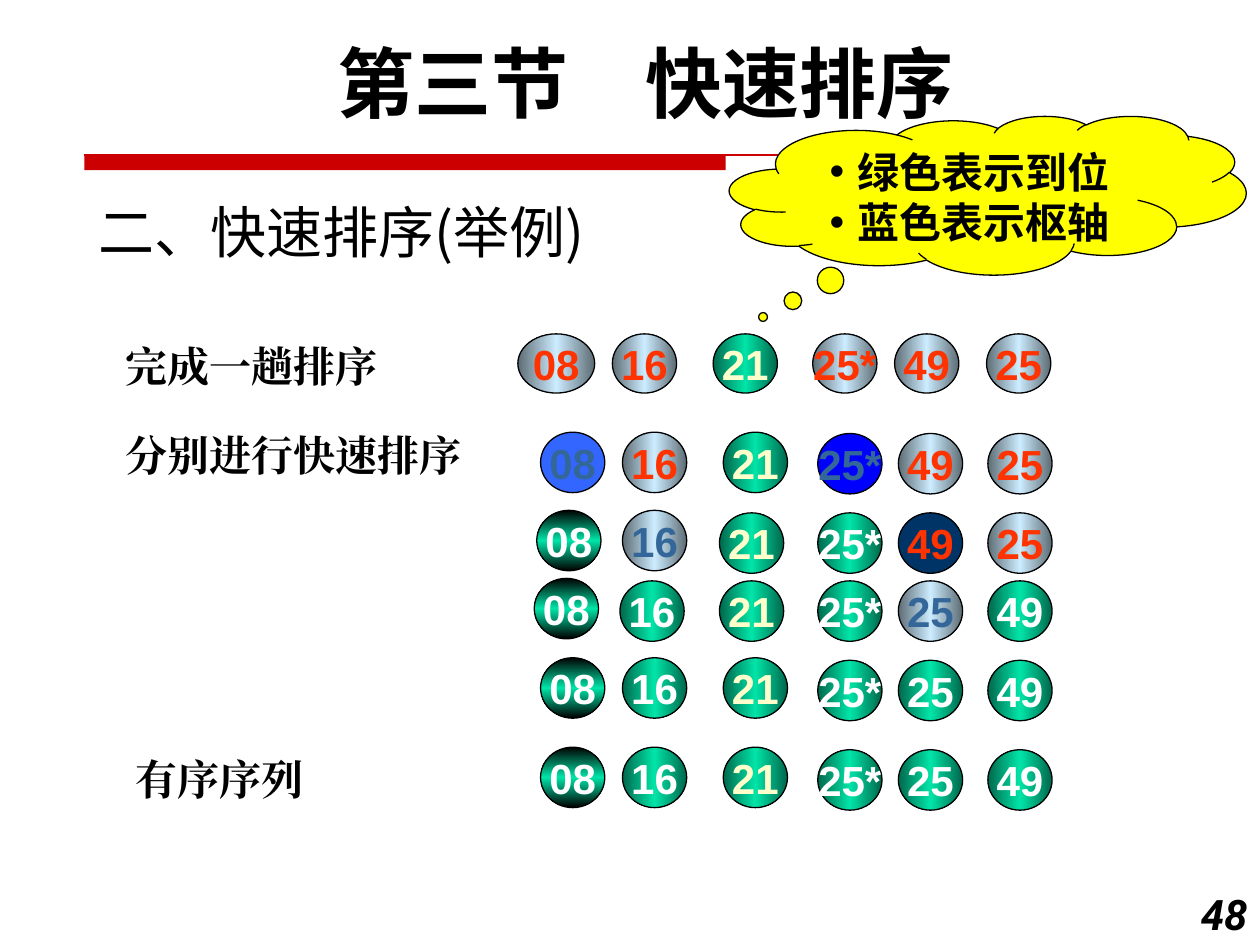
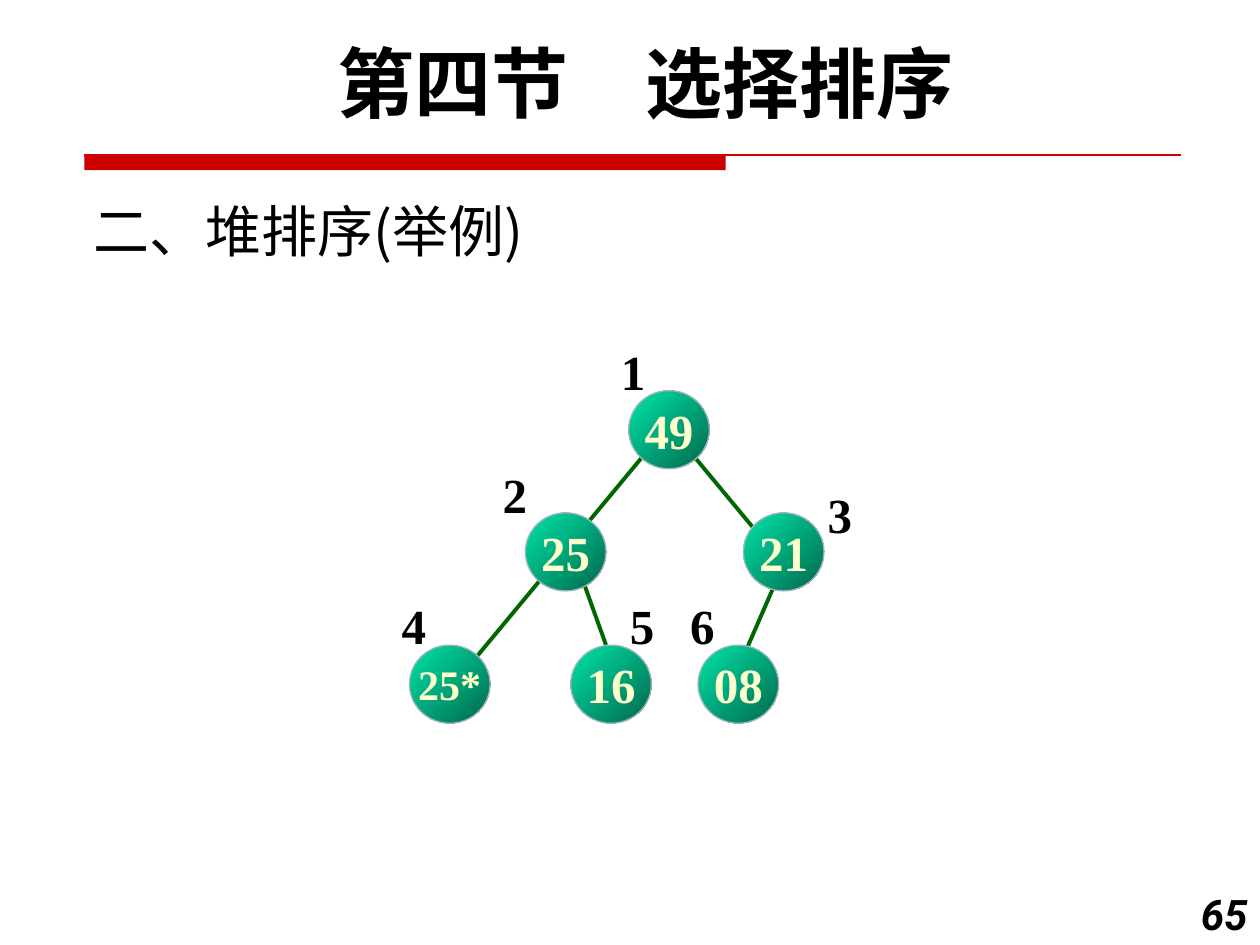
from lxml import etree
from pptx import Presentation
from pptx import util as u
from pptx.dml.color import RGBColor
from pptx.enum import shapes, text
from pptx.oxml import ns

WIDE, HIGH = 10, 7.5
BLACK = RGBColor(0, 0, 0)
WHITE = RGBColor(255, 255, 255)
CREAM = RGBColor(255, 255, 204)
RED = RGBColor(204, 0, 0)
ORANGE = RGBColor(255, 51, 0)
YELLOW = RGBColor(255, 255, 0)
STEEL = RGBColor(51, 102, 153)
SKY = RGBColor(51, 102, 255)
BLUE = RGBColor(0, 0, 255)
NAVY = RGBColor(0, 51, 102)
MINT = RGBColor(0, 228, 168)
PINE = RGBColor(0, 104, 76)
SLATE = RGBColor(93, 108, 116)
ICE = RGBColor(204, 236, 255)
MIST = RGBColor(163, 178, 193)
LEAF = RGBColor(0, 102, 0)

SANS, SERIF, HEAD, BALL = "Noto Sans CJK SC", "Times New Roman", "Roboto", "Arial"

# A gradient is (angle, evenly spaced colours)
GREY = (0, (SLATE, ICE, SLATE))
GREEN = (0, (PINE, MINT, PINE))
DARK = (90, (BLACK, MINT, BLACK))
SLANT = (45, (MINT, PINE))

# Ball state: (fill, text colour)
STATES = {
    "wait": (GREY, ORANGE), "last": (GREY, STEEL),
    "mid": (GREEN, CREAM), "done": (GREEN, WHITE), "first": (DARK, WHITE),
    "low": (SKY, STEEL), "high": (BLUE, STEEL), "pivot": (NAVY, ORANGE),
}
FINAL = "08 first, 16 done, 21 mid, 25* done, 25 done, 49 done"
COLS = (4.29, 4.94, 5.74, 6.49, 7.13, 7.84)

# (top, balls before the step down, step down, moved columns, balls)
PASSES = [
    (2.65, 6, 0, {0: 4.11, 1: 4.86, 2: 5.66, 3: 6.45, 4: 7.1, 5: 7.83},
     "08 wait, 16 wait, 21 mid, 25* wait, 49 wait, 25 wait"),
    (3.43, 3, 0.01, {}, "08 low, 16 wait, 21 mid, 25* high, 49 wait, 25 wait"),
    (4.05, 2, 0.02, {0: 4.26, 2: 5.71},
     "08 first, 16 last, 21 mid, 25* done, 49 pivot, 25 wait"),
    (4.59, 1, 0.02, {0: 4.24, 1: 4.92, 2: 5.71},
     "08 first, 16 done, 21 mid, 25* done, 25 last, 49 done"),
    (5.22, 3, 0.02, {}, FINAL),
    (5.93, 3, 0.02, {}, FINAL),
]
STEPS = [("完成一趟排序", 0.9, 2.65, 2.33), ("分别进行快速排序", 0.9, 3.36, 3.03),
         ("有序序列", 0.98, 5.93, 1.73)]
NOTES = ["绿色表示到位", "蓝色表示枢轴"]

# (value, left, top, number left, number top), in heap order
NODES = [
    ("49", 4.99, 3.1, 4.83, 2.66), ("25", 4.17, 4.07, 3.89, 3.64),
    ("21", 5.9, 4.07, 6.47, 3.8), ("25*", 3.25, 5.12, 3.09, 4.68),
    ("16", 4.53, 5.12, 4.9, 4.68), ("08", 5.54, 5.12, 5.38, 4.68),
]
EDGES = [(6.17, 4.59, 5.9, 5.21), (5.44, 3.54, 6.17, 4.42),
         (4.62, 4.59, 4.81, 5.12), (5.17, 3.54, 3.71, 5.3)]


def inch(*vals):
    return [u.Inches(v) for v in vals]


def style(para, font, size, color, bold=True, italic=False):
    for run in para.runs:
        f = run.font
        f.name, f.size, f.bold, f.italic = font, u.Pt(size), bold, italic
        f.color.rgb = color
        ea = etree.SubElement(run._r.get_or_add_rPr(), ns.qn("a:ea"))
        ea.set("typeface", font)


def label(slide, words, box, font, size, align=text.PP_ALIGN.LEFT,
          anchor=text.MSO_ANCHOR.TOP, wrap=True, **look):
    frame = slide.shapes.add_textbox(*inch(*box)).text_frame
    frame.word_wrap, frame.vertical_anchor = wrap, anchor
    frame.text = words
    para = frame.paragraphs[0]
    para.alignment = align
    style(para, font, size, BLACK, **look)


def paint(shape, fill):
    """Fill with one colour or with a gradient."""
    if isinstance(fill, RGBColor):
        shape.fill.solid()
        shape.fill.fore_color.rgb = fill
        return
    angle, colors = fill
    shape.fill.gradient()
    grad = shape.element.spPr.find(ns.qn("a:gradFill"))
    grad.find(ns.qn("a:lin")).set("ang", str(angle * 60000))
    stops = grad.find(ns.qn("a:gsLst"))
    for old in list(stops):
        stops.remove(old)
    for i, color in enumerate(colors):
        stop = etree.SubElement(stops, ns.qn("a:gs"))
        stop.set("pos", str(100000 * i // (len(colors) - 1)))
        etree.SubElement(stop, ns.qn("a:srgbClr")).set("val", str(color))


def solid(slide, kind, box, fill, edge=None):
    shape = slide.shapes.add_shape(kind, *inch(*box))
    shape.shadow.inherit = False
    paint(shape, fill)
    if edge is None:
        shape.line.fill.background()
    else:
        shape.line.color.rgb = edge
        shape.line.width = u.Pt(0.75)
    return shape


def ball(slide, words, box, fill, edge, font, size, color):
    shape = solid(slide, shapes.MSO_SHAPE.OVAL, box, fill, edge)
    frame = shape.text_frame
    frame.word_wrap, frame.vertical_anchor = False, text.MSO_ANCHOR.MIDDLE
    frame.text = words
    frame.paragraphs[0].alignment = text.PP_ALIGN.CENTER
    style(frame.paragraphs[0], font, size, color)


def link(slide, ends, color, width):
    line = slide.shapes.add_connector(shapes.MSO_CONNECTOR.STRAIGHT, *inch(*ends))
    line.line.color.rgb = color
    line.line.width = u.Pt(width)
    etree.SubElement(line.element.spPr, ns.qn("a:effectLst"))


def page(deck, title, topic, left, top, number):
    """Add a slide with its band, heading, topic and number."""
    slide = deck.slides.add_slide(deck.slide_layouts[6])
    solid(slide, shapes.MSO_SHAPE.RECTANGLE, (0.67, 1.23, 5.09, 0.12), RED)
    link(slide, (0.67, 1.23, 9.37, 1.23), RED, 0.75)
    label(slide, title, (0.5, 0.23, 9.25, 0.84), HEAD, 44, text.PP_ALIGN.CENTER)
    label(slide, topic, (left, top, 6.25, 0.75), SANS, 32,
          anchor=text.MSO_ANCHOR.BOTTOM, bold=False)
    label(slide, number, (WIDE - 0.67, HIGH - 0.5, 0.67, 0.5), HEAD, 24,
          text.PP_ALIGN.RIGHT, italic=True)
    return slide


def cloud(slide):
    shape = solid(slide, shapes.MSO_SHAPE.CLOUD_CALLOUT, (5.79, 0.92, 4.1, 1.26),
                  YELLOW, BLACK)
    shape.adjustments[0], shape.adjustments[1] = -0.435, 0.767
    frame = shape.text_frame
    frame.vertical_anchor = text.MSO_ANCHOR.TOP
    frame.text = "\n".join(NOTES)
    for para in frame.paragraphs:
        para.alignment = text.PP_ALIGN.CENTER
        props = para._p.get_or_add_pPr()
        props.set("marL", str(u.Inches(0.22)))
        props.set("indent", str(-u.Inches(0.22)))
        etree.SubElement(props, ns.qn("a:buFont")).set("typeface", BALL)
        etree.SubElement(props, ns.qn("a:buChar")).set("char", "•")
        style(para, HEAD, 24, BLACK)


def quick(deck):
    slide = page(deck, "第三节\u3000快速排序".replace("\u3000", "　"),
                 "二、快速排序(举例)", 0.68, 1.4, "48")
    for words, left, top, width in STEPS:
        label(slide, words, (left, top, width, 0.5), SERIF, 24)
    for row, (top, flat, drop, moved, balls) in enumerate(PASSES):
        for col, item in enumerate(balls.split(", ")):
            value, state = item.split()
            fill, color = STATES[state]
            box = (moved.get(col, COLS[col]), top + drop * (col >= flat),
                   0.61 if row == col == 0 else 0.51, 0.48 if row else 0.47)
            ball(slide, value, box, fill, BLACK, BALL, 24, color)
    cloud(slide)


def heap(deck):
    slide = page(deck, "第四节　选择排序", "二、堆排序(举例)", 0.64, 1.39, "65")
    for ends in EDGES:
        link(slide, ends, LEAF, 2.25)
    for rank, (value, left, top, x, y) in enumerate(NODES, 1):
        ball(slide, value, (left, top, 0.64, 0.62), SLANT, MIST, SERIF,
             24 if "*" in value else 28, CREAM)
        label(slide, str(rank), (x, y, 0.4, 0.57), SERIF, 28, wrap=False)


def main():
    deck = Presentation()
    deck.slide_width, deck.slide_height = inch(WIDE, HIGH)
    quick(deck)
    heap(deck)
    deck.save("out.pptx")


if __name__ == "__main__":
    main()
